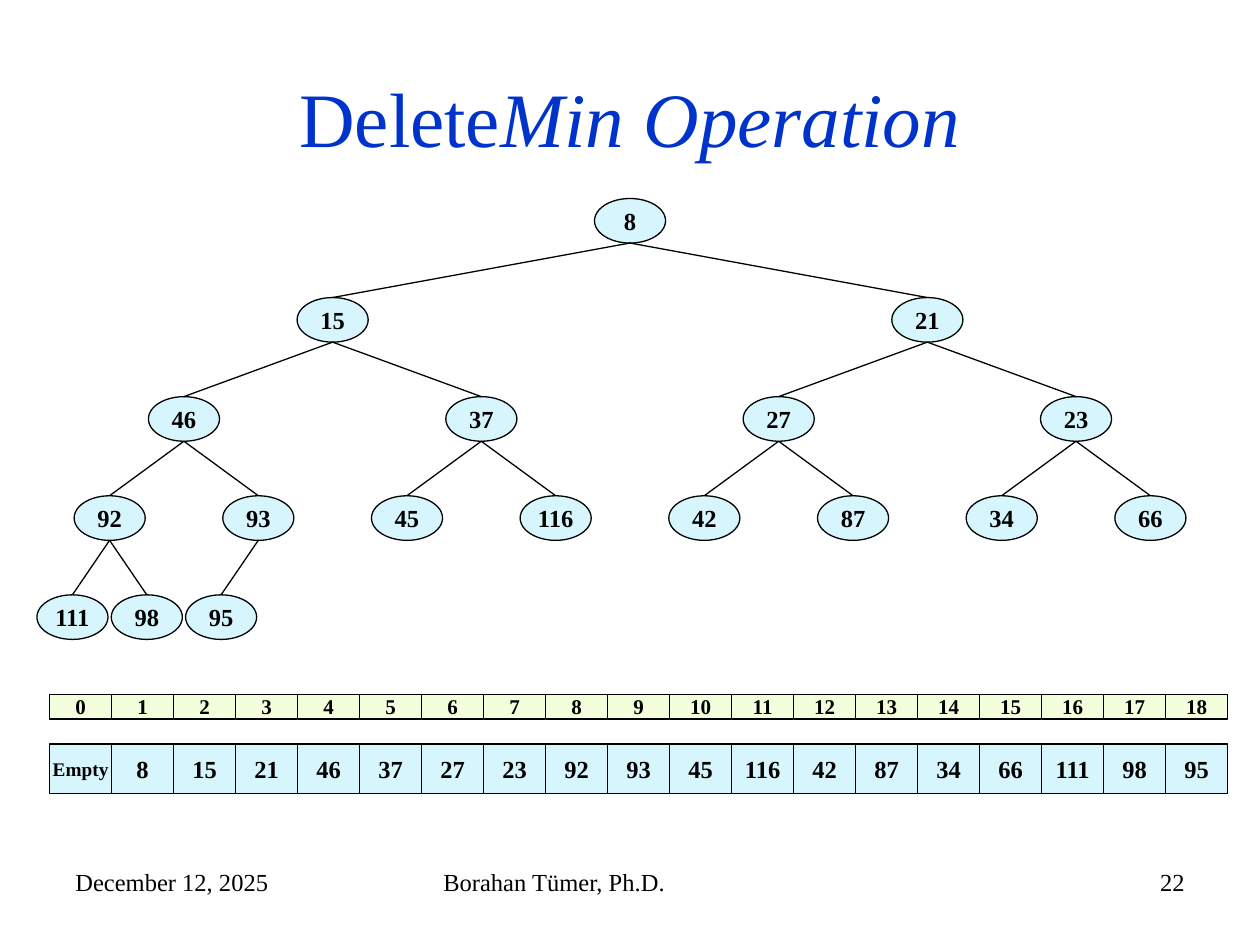
import pptx
import pptx.dml.color
import pptx.enum.shapes
import pptx.enum.text
import pptx.oxml.ns
import pptx.util
from lxml import etree

BLACK = pptx.dml.color.RGBColor(0x00, 0x00, 0x00)
TITLE_BLUE = pptx.dml.color.RGBColor(0x00, 0x33, 0xCC)
PALE_BLUE = pptx.dml.color.RGBColor(0xD6, 0xF5, 0xFC)
PALE_GREEN = pptx.dml.color.RGBColor(0xF2, 0xFE, 0xDC)
FONT = "Times New Roman"
ALIGN = pptx.enum.text.PP_ALIGN
ANCHOR = pptx.enum.text.MSO_ANCHOR
PRESET = pptx.enum.shapes.MSO_SHAPE

COLUMNS, ROWS = 100, 75
UNIT = pptx.util.Inches(0.1)
LINE_WIDTH = pptx.util.Pt(0.75)

HEAP = [8, 15, 21, 46, 37, 27, 23, 92, 93, 45, 116, 42, 87, 34, 66, 111, 98, 95]
NODE_WIDTH, NODE_HEIGHT = 5.64, 3.54


def grid(*lengths):
    return [round(length * UNIT) for length in lengths]


def style_font(font, size, color=BLACK, bold=False, italic=False):
    font.name = FONT
    font.size = pptx.util.Pt(size)
    font.color.rgb = color
    font.bold = bold
    font.italic = italic


def add_labelled_shape(shapes, preset, box, text, size, fill):
    shape = shapes.add_shape(preset, *grid(*box))
    shape.shadow.inherit = False
    shape.fill.solid()
    shape.fill.fore_color.rgb = fill
    shape.line.color.rgb = BLACK
    shape.line.width = LINE_WIDTH
    frame = shape.text_frame
    frame.margin_left = frame.margin_right = 0
    frame.margin_top = frame.margin_bottom = 0
    frame.word_wrap = False
    frame.vertical_anchor = ANCHOR.MIDDLE
    frame.text = str(text)
    paragraph = frame.paragraphs[0]
    paragraph.alignment = ALIGN.CENTER
    style_font(paragraph.runs[0].font, size, bold=True)
    return shape


def add_branch(slide, parent, child):
    connector = slide.shapes.add_connector(
        pptx.enum.shapes.MSO_CONNECTOR.STRAIGHT,
        parent.left + parent.width // 2, parent.top + parent.height,
        child.left + child.width // 2, child.top)
    connector.end_connect(child, 0)
    connector.line.color.rgb = BLACK
    connector.line.width = LINE_WIDTH
    properties = connector._element.spPr
    etree.SubElement(properties, pptx.oxml.ns.qn("a:effectLst"))


def add_heap_tree(slide, box, values):
    left, top, width, height = box
    deepest = len(values).bit_length() - 1
    level_gap = (height - NODE_HEIGHT) / deepest
    nodes = []
    for number, value in enumerate(values, start=1):
        depth = number.bit_length() - 1
        slots = 2 ** depth
        center = left + width * (number - slots + 0.5) / slots
        node_box = (center - NODE_WIDTH / 2, top + depth * level_gap,
                    NODE_WIDTH, NODE_HEIGHT)
        nodes.append(add_labelled_shape(
            slide.shapes, PRESET.OVAL, node_box, value, 14, PALE_BLUE))
    for index in range(1, len(nodes)):
        add_branch(slide, nodes[(index - 1) // 2], nodes[index])


def add_cell_row(slide, box, labels, sizes, fill):
    left, top, width, height = box
    group = slide.shapes.add_group_shape()
    cell_width = width / len(labels)
    for index, (label, size) in enumerate(zip(labels, sizes)):
        cell_box = (left + index * cell_width, top, cell_width, height)
        add_labelled_shape(group.shapes, PRESET.RECTANGLE, cell_box,
                           label, size, fill)


def add_heap_array(slide, box, values):
    left, top, width, height = box
    count = len(values) + 1
    add_cell_row(slide, (left, top, width, height / 4),
                 range(count), [12] * count, PALE_GREEN)
    add_cell_row(slide, (left, top + height / 2, width, height / 2),
                 ["Empty"] + values, [11] + [14] * len(values), PALE_BLUE)


def add_text(slide, box, alignment, anchor, parts):
    frame = slide.shapes.add_textbox(*grid(*box)).text_frame
    frame.word_wrap = True
    frame.vertical_anchor = anchor
    paragraph = frame.paragraphs[0]
    paragraph.alignment = alignment
    for text, size, color, italic in parts:
        run = paragraph.add_run()
        run.text = text
        style_font(run.font, size, color, italic=italic)


def add_title(slide, box):
    add_text(slide, box, ALIGN.CENTER, ANCHOR.MIDDLE,
             [("Delete", 44, TITLE_BLUE, False),
              ("Min Operation", 44, TITLE_BLUE, True)])


def add_footer(slide, box):
    left, top, width, height = box
    side = 23.3
    fields = [
        ("December 12, 2025", left, side, ALIGN.LEFT),
        ("Borahan Tümer, Ph.D.", left + 29.2, 31.7, ALIGN.LEFT),
        ("22", left + width - side, side, ALIGN.RIGHT),
    ]
    for text, start, span, alignment in fields:
        add_text(slide, (start, top, span, height), alignment, ANCHOR.TOP,
                 [(text, 14, BLACK, False)])


def main():
    presentation = pptx.Presentation()
    presentation.slide_width, presentation.slide_height = grid(COLUMNS, ROWS)
    slide = presentation.slides.add_slide(presentation.slide_layouts[6])
    add_footer(slide, (5, 68.3, 90, 5.2))
    add_title(slide, (5, 3, 90, 12.5))
    add_heap_tree(slide, (2.8, 15.75, 94.4, 35), HEAP)
    add_heap_array(slide, (3.94, 55.1, 93.5, 7.88), HEAP)
    presentation.save("out.pptx")


if __name__ == "__main__":
    main()
